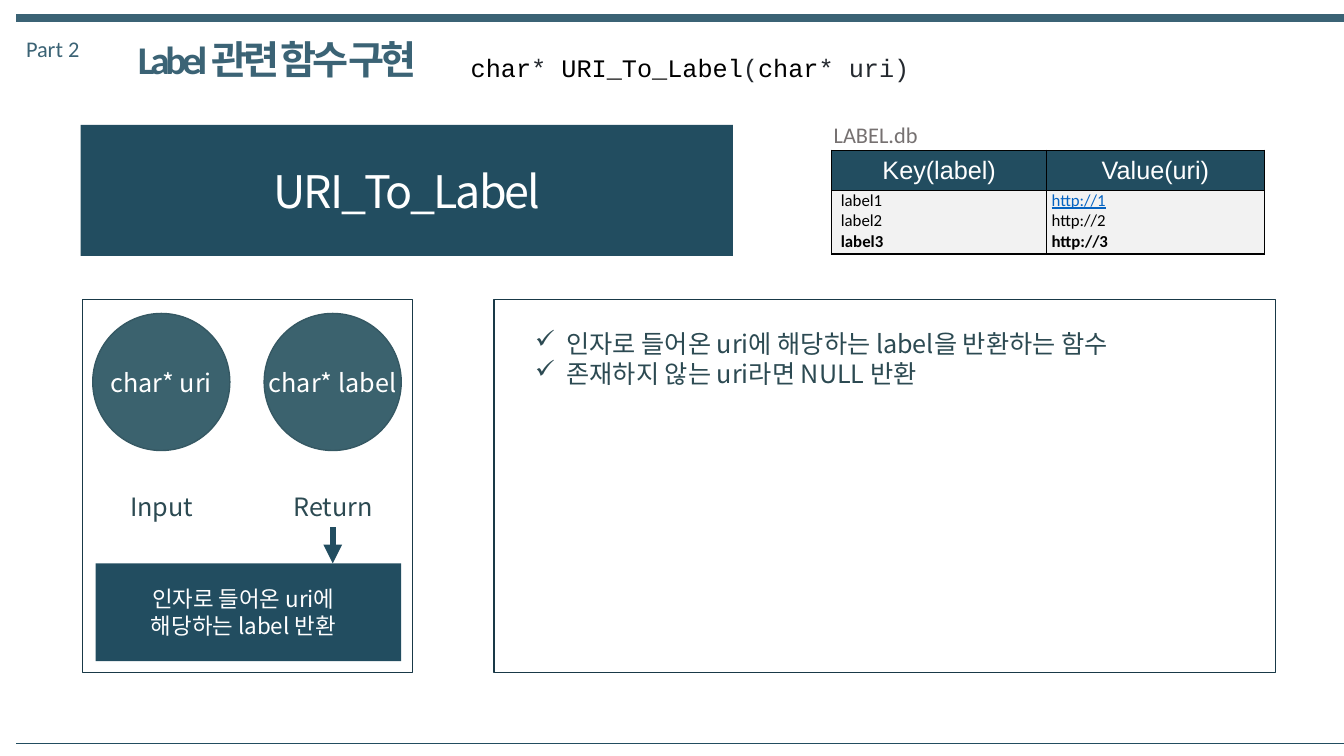
"""Build the URI_To_Label function slide."""
from dataclasses import dataclass
from typing import NamedTuple

from lxml import etree
from pptx import Presentation
from pptx.dml.color import RGBColor
from pptx.enum import shapes, text
from pptx.oxml import ns
from pptx.util import Inches, Pt


@dataclass(frozen=True)
class Theme:
    navy: str = "224D60"
    teal: str = "3B6375"
    circle: str = "3B626E"
    circle_edge: str = "355863"
    frame: str = "193947"
    ink: str = "2C4A52"
    code: str = "24292F"
    caption: str = "767171"
    link: str = "0563C1"
    cell: str = "F2F2F2"
    black: str = "000000"
    white: str = "FFFFFF"
    body_font: str = "Noto Sans CJK KR"
    label_font: str = "Calibri"
    code_font: str = "Courier New"
    header_font: str = "Arial"
    banner_size: int = 32
    title_size: int = 28
    body_size: int = 18
    note_size: int = 16
    cell_size: int = 12


THEME = Theme()


class Box(NamedTuple):
    left: float
    top: float
    width: float
    height: float


@dataclass(frozen=True)
class Style:
    color: str = THEME.ink
    size: int = THEME.body_size
    font: str = THEME.body_font
    bold: bool = False
    underline: bool = False
    spacing: int = 0


@dataclass(frozen=True)
class Label:
    box: Box
    words: str
    style: Style
    centered: bool = False
    wrap: bool = True


@dataclass(frozen=True)
class Panel:
    box: Box
    fill: str | None = None
    edge: str | None = None
    words: str = ""
    style: Style = Style(THEME.white)
    kind: shapes.MSO_SHAPE = shapes.MSO_SHAPE.RECTANGLE


@dataclass(frozen=True)
class Rule:
    start: tuple[float, float]
    end: tuple[float, float]
    color: str
    weight: float
    arrow: bool = False


def rgb(color: str) -> RGBColor:
    """Turn a hex string into a colour."""
    return RGBColor.from_string(color)


def style_run(run, style: Style) -> None:
    """Apply a style to one run."""
    run.font.name, run.font.size = style.font, Pt(style.size)
    run.font.bold, run.font.underline = style.bold, style.underline
    run.font.color.rgb = rgb(style.color)
    properties = run.font._element
    if style.spacing:
        properties.set("spc", str(style.spacing))
    latin = properties.find(ns.qn("a:latin"))
    east_asian = etree.Element(ns.qn("a:ea"), typeface=THEME.body_font)
    latin.addnext(east_asian)


def write(frame, words: str, style: Style, centered: bool) -> None:
    """Fill a text frame with evenly styled lines."""
    frame.text = words
    for paragraph in frame.paragraphs:
        paragraph.alignment = text.PP_ALIGN.CENTER if centered else text.PP_ALIGN.LEFT
        for run in paragraph.runs:
            style_run(run, style)


def draw_label(slide, label: Label):
    """Draw a text box and return its frame."""
    frame = slide.shapes.add_textbox(*map(Inches, label.box)).text_frame
    frame.word_wrap = label.wrap
    frame.auto_size = text.MSO_AUTO_SIZE.SHAPE_TO_FIT_TEXT
    write(frame, label.words, label.style, label.centered)
    return frame


def draw_panel(slide, panel: Panel):
    """Draw a filled or outlined shape and return its frame."""
    shape = slide.shapes.add_shape(panel.kind, *map(Inches, panel.box))
    shape.shadow.inherit = False
    if panel.fill:
        shape.fill.solid()
        shape.fill.fore_color.rgb = rgb(panel.fill)
    else:
        shape.fill.background()
    if panel.edge:
        shape.line.color.rgb, shape.line.width = rgb(panel.edge), Pt(1)
    else:
        shape.line.fill.background()
    frame = shape.text_frame
    if panel.words:
        frame.word_wrap = False
        frame.vertical_anchor = text.MSO_ANCHOR.MIDDLE
        write(frame, panel.words, panel.style, True)
    return frame


def draw_rule(slide, rule: Rule) -> None:
    """Draw a straight line, with an arrowhead if asked."""
    line = slide.shapes.add_connector(
        shapes.MSO_CONNECTOR.STRAIGHT, *map(Inches, rule.start + rule.end))
    line.line.color.rgb, line.line.width = rgb(rule.color), Pt(rule.weight)
    if rule.arrow:
        etree.SubElement(line.line._get_or_add_ln(), ns.qn("a:tailEnd"), type="triangle")
    etree.SubElement(line._element.spPr, ns.qn("a:effectLst"))


def draw_cell(cell, words: str, fill: str, style: Style, inset: float, header: bool) -> None:
    """Fill one table cell and give it black borders."""
    cell.margin_left = cell.margin_right = Inches(inset)
    cell.margin_top = cell.margin_bottom = 0
    cell.vertical_anchor = text.MSO_ANCHOR.MIDDLE if header else text.MSO_ANCHOR.TOP
    write(cell.text_frame, words, style, header)
    properties = cell._tc.get_or_add_tcPr()
    for side in ("lnL", "lnR", "lnT", "lnB"):
        border = etree.SubElement(properties, ns.qn(f"a:{side}"), w=str(Pt(1)))
        paint = etree.SubElement(border, ns.qn("a:solidFill"))
        etree.SubElement(paint, ns.qn("a:srgbClr"), val=THEME.black)
    cell.fill.solid()
    cell.fill.fore_color.rgb = rgb(fill)


def draw_database(slide) -> None:
    """Draw the key and value table."""
    table = slide.shapes.add_table(2, 2, *map(Inches, Box(8.25, 1.49, 4.29, 1.03))).table
    for row, height in zip(table.rows, (0.4, 0.63)):
        row.height = Inches(height)
    header = Style(THEME.white, font=THEME.header_font)
    entry = Style(THEME.black, THEME.cell_size, THEME.label_font)
    strong = Style(THEME.black, THEME.cell_size, THEME.label_font, bold=True)
    link = Style(THEME.link, THEME.cell_size, THEME.label_font, underline=True)
    columns = ((2.13, "Key(label)", "label", 0.09, entry), (2.16, "Value(uri)", "http://", 0.05, link))
    for index, (width, heading, stem, inset, first) in enumerate(columns):
        table.columns[index].width = Inches(width)
        draw_cell(table.cell(0, index), heading, THEME.navy, header, inset, True)
        entries = table.cell(1, index)
        words = "\n".join(f"{stem}{number}" for number in (1, 2, 3))
        draw_cell(entries, words, THEME.cell, entry, inset, False)
        for paragraph, style in ((0, first), (2, strong)):
            run = entries.text_frame.paragraphs[paragraph].runs[0]
            for east_asian in run.font._element.findall(ns.qn("a:ea")):
                run.font._element.remove(east_asian)
            style_run(run, style)


def draw_signature(slide) -> None:
    """Draw the function signature with its syntax colours."""
    frame = draw_label(slide, Label(Box(4.57, 0.47, 6.7, 0.4), "", Style()))
    spans = (("char", THEME.black), ("* ", THEME.code), ("URI_To_Label", THEME.black),
             ("(", THEME.code), ("char", THEME.black), ("* uri)", THEME.code))
    for words, color in spans:
        run = frame.paragraphs[0].add_run()
        run.text = words
        style_run(run, Style(color, font=THEME.code_font))


def draw_description(slide) -> None:
    """Draw the check-marked description."""
    words = "인자로 들어온 uri에 해당하는 label을 반환하는 함수\n존재하지 않는 uri라면 NULL 반환"
    frame = draw_label(slide, Label(Box(5.21, 3.21, 7.49, 0.71), words, Style()))
    for paragraph in frame.paragraphs:
        properties = paragraph._p.get_or_add_pPr()
        properties.set("marL", str(Inches(0.31)))
        properties.set("indent", str(Inches(-0.31)))
        etree.SubElement(properties, ns.qn("a:buChar"), char="✓")


def main() -> None:
    """Build and save the slide."""
    deck = Presentation()
    deck.slide_width, deck.slide_height = Inches(13.33), Inches(7.5)
    slide = deck.slides.add_slide(deck.slide_layouts[6])
    for rule in (Rule((0.16, 0.18), (13.35, 0.18), THEME.teal, 6),
                 Rule((0.16, 7.37), (13.35, 7.37), THEME.navy, 0.25)):
        draw_rule(slide, rule)
    title = Style(THEME.teal, THEME.title_size, THEME.label_font, bold=True, spacing=-300)
    part = Style(THEME.teal, THEME.note_size, THEME.label_font)
    caption = Style(THEME.caption, THEME.note_size, THEME.label_font)
    for label in (Label(Box(1.27, 0.3, 3.1, 0.57), "Label 관련 함수 구현", title, wrap=False),
                  Label(Box(0.16, 0.3, 0.74, 0.37), "Part 2", part, wrap=False),
                  Label(Box(8.17, 1.15, 1.55, 0.37), "LABEL.db", caption)):
        draw_label(slide, label)
    draw_signature(slide)
    draw_database(slide)
    banner = Style(THEME.white, THEME.banner_size, spacing=-150)
    draw_panel(slide, Panel(Box(0.8, 1.24, 6.47, 1.3), THEME.navy, words="URI_To_Label", style=banner))
    for left in (Box(0.82, 2.97, 3.27, 3.7), Box(4.9, 2.97, 7.75, 3.7)):
        draw_panel(slide, Panel(left, edge=THEME.frame))
    for center, variable, role in ((1.6, "char* uri", "Input"), (3.3, "char* label", "Return")):
        draw_panel(slide, Panel(Box(center - 0.68, 3.11, 1.36, 1.36), THEME.circle, THEME.circle_edge,
                                variable, kind=shapes.MSO_SHAPE.OVAL))
        draw_label(slide, Label(Box(center - 0.92, 4.83, 1.85, 0.4), role, Style(), centered=True))
    result = draw_panel(slide, Panel(Box(0.95, 5.59, 3.03, 0.97), THEME.navy,
                                     words="인자로 들어온 uri에\n해당하는 label 반환",
                                     style=Style(THEME.white, THEME.note_size)))
    result.margin_right = Inches(0.2)
    draw_rule(slide, Rule((3.3, 5.23), (3.3, 5.59), THEME.navy, 4.5, arrow=True))
    draw_description(slide)
    deck.save("out.pptx")


if __name__ == "__main__":
    main()
